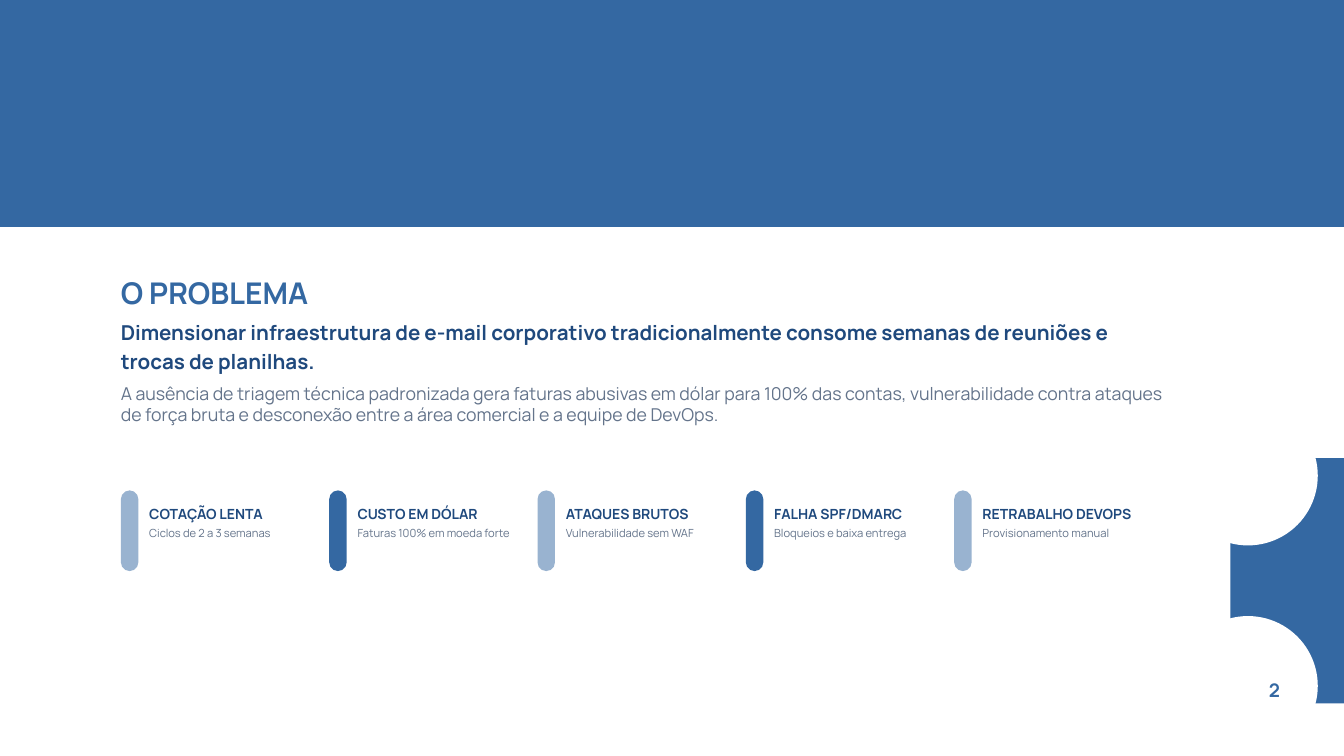
from lxml.etree import SubElement
from pptx import Presentation
from pptx.dml.color import RGBColor
from pptx.enum.shapes import MSO_SHAPE as Preset
from pptx.enum.text import MSO_AUTO_SIZE as AutoSize, PP_ALIGN as Align
from pptx.oxml.ns import qn
from pptx.util import Cm, Pt

COLORS = {"blue": "3468A2", "navy": "1F497D", "slate": "64748B", "white": "FFFFFF"}
FONT = "Manrope"
LEFT = 4.57
PITCH = 7.874

PROBLEMS = [
    ("COTAÇÃO LENTA", "Ciclos de 2 a 3 semanas"),
    ("CUSTO EM DÓLAR", "Faturas 100% em moeda forte"),
    ("ATAQUES BRUTOS", "Vulnerabilidade sem WAF"),
    ("FALHA SPF/DMARC", "Bloqueios e baixa entrega"),
    ("RETRABALHO DEVOPS", "Provisionamento manual"),
]


def add_block(slide, preset, left, top, width, height, color, rounding=None, opacity=None):
    block = slide.shapes.add_shape(preset, Cm(left), Cm(top), Cm(width), Cm(height))
    block.shadow.inherit = False
    block.fill.solid()
    block.fill.fore_color.rgb = RGBColor.from_string(COLORS[color])
    block.line.fill.background()
    if rounding is not None:
        block.adjustments[0] = rounding
    if opacity is not None:
        tint = block.fill._xPr.find(".//" + qn("a:srgbClr"))
        SubElement(tint, qn("a:alpha")).set("val", str(opacity * 1000))


def add_text_frame(slide, left, top, width, height, wrap=True):
    frame = slide.shapes.add_textbox(Cm(left), Cm(top), Cm(width), Cm(height)).text_frame
    frame.margin_left = frame.margin_right = frame.margin_top = frame.margin_bottom = 0
    frame.word_wrap = wrap
    frame.auto_size = AutoSize.SHAPE_TO_FIT_TEXT
    return frame


def write(paragraph, words, size, color, bold=False, leading=None, after=None):
    if leading:
        paragraph.line_spacing = Pt(leading)
    if after:
        paragraph.space_after = Pt(after)
    run = paragraph.add_run()
    run.text = words
    run.font.name = FONT
    run.font.size = Pt(size)
    run.font.bold = bold
    run.font.color.rgb = RGBColor.from_string(COLORS[color])


def add_pair(slide, box, heading, detail, sizes, after):
    frame = add_text_frame(slide, *box)
    write(frame.paragraphs[0], heading, sizes[0], "navy", True, 30.8, after)
    write(frame.add_paragraph(), detail, sizes[1], "slate")


def add_corner_ornament(slide):
    add_block(slide, Preset.ROUNDED_RECTANGLE, 46.51, 17.32, 9.27, 9.27, "blue", rounding=0.01)
    for top in (15.34, 23.29):
        add_block(slide, Preset.OVAL, 44.53, top, 5.28, 5.28, "white")


def add_problem(slide, index, heading, detail):
    left = LEFT + index * PITCH
    opacity = 50 if index % 2 == 0 else None
    add_block(slide, Preset.ROUNDED_RECTANGLE, left, 18.54, 0.66, 3.05, "blue", 0.5, opacity)
    add_pair(slide, (left + 1.07, 18.67, 6.48, 3.3), heading, detail, (15, 12), 4)


def main():
    deck = Presentation()
    deck.slide_width, deck.slide_height = Cm(50.8), Cm(28.58)
    slide = deck.slides.add_slide(deck.slide_layouts[6])

    add_block(slide, Preset.RECTANGLE, 0, 0, 50.8, 8.58, "blue")
    add_corner_ornament(slide)

    title = add_text_frame(slide, LEFT, 9.65, 35.56, 2.08)
    write(title.paragraphs[0], "O PROBLEMA", 32, "blue", True, 58.8)
    add_pair(
        slide,
        (LEFT, 11.94, 39.37, 7.59),
        "Dimensionar infraestrutura de e-mail corporativo tradicionalmente consome "
        "semanas de reuniões e trocas de planilhas.",
        "A ausência de triagem técnica padronizada gera faturas abusivas em dólar para "
        "100% das contas, vulnerabilidade contra ataques de força bruta e desconexão "
        "entre a área comercial e a equipe de DevOps.",
        (22, 19),
        10,
    )

    page_number = add_text_frame(slide, 47.96, 25.53, 0.43, 0.61, wrap=False).paragraphs[0]
    page_number.alignment = Align.CENTER
    write(page_number, "2", 20, "blue", True, 28)

    for index, (heading, detail) in enumerate(PROBLEMS):
        add_problem(slide, index, heading, detail)

    deck.save("out.pptx")


if __name__ == "__main__":
    main()
